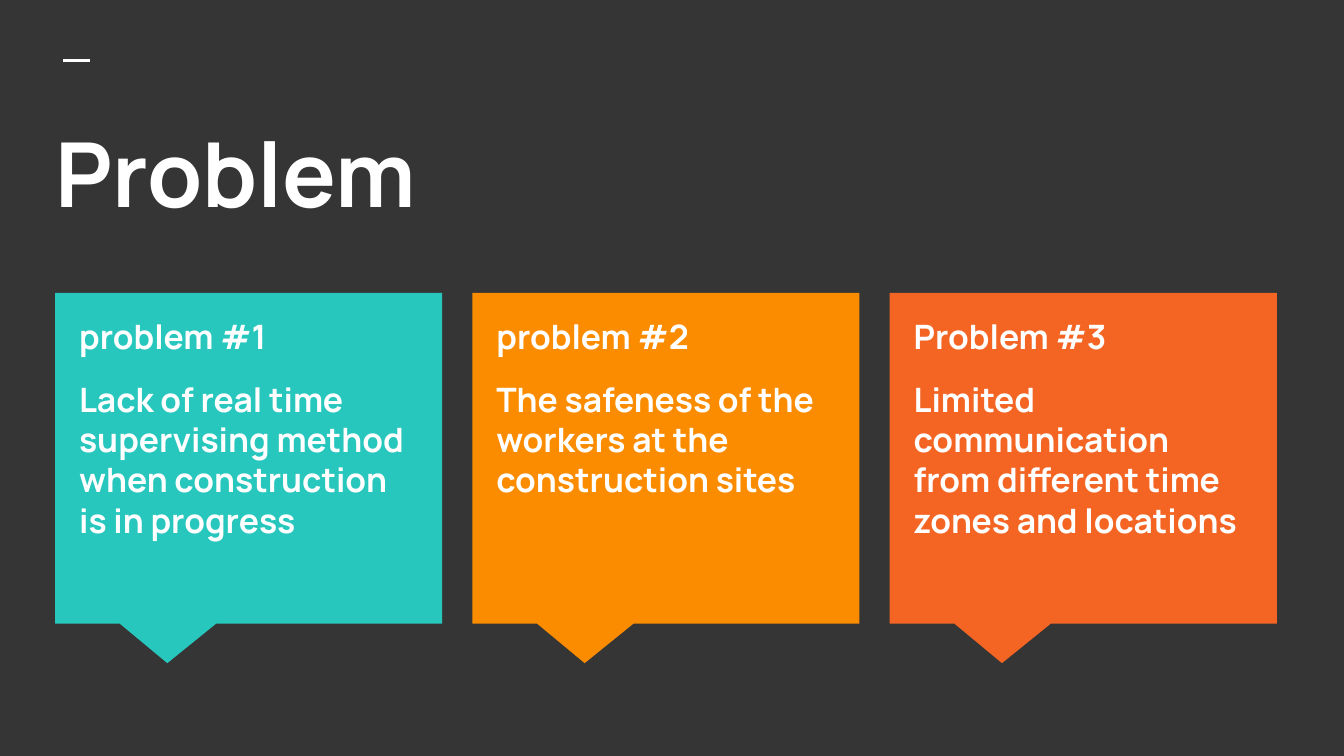
from lxml.etree import SubElement
from pptx import Presentation
from pptx.dml.color import RGBColor
from pptx.enum.shapes import MSO_CONNECTOR, MSO_SHAPE
from pptx.enum.text import MSO_ANCHOR, MSO_AUTO_SIZE, PP_ALIGN
from pptx.oxml.ns import qn
from pptx.util import Inches, Pt

FONT = "Manrope"
COLORS = {
    "background": "353535",
    "white": "FFFFFF",
    "teal": "27C7BD",
    "amber": "FB8C00",
    "orange": "F46524",
}
TITLE = "Problem"
PROBLEMS = [
    ("problem #1", "Lack of real time supervising method when construction is in progress", "teal"),
    ("problem #2", "The safeness of the workers at the construction sites", "amber"),
    ("Problem #3", "Limited communication from different time zones and locations", "orange"),
]

SLIDE_WIDTH = 10
SLIDE_HEIGHT = SLIDE_WIDTH * 9 / 16
CARD_LEFT, CARD_TOP, CARD_WIDTH, CARD_HEIGHT = 0.41, 2.18, 2.88, 2.46
LAST_CARD_LEFT = 6.62
CARD_STEP = (LAST_CARD_LEFT - CARD_LEFT) / (len(PROBLEMS) - 1)
TEXT_OFFSET_X, TEXT_OFFSET_Y, TEXT_WIDTH, TEXT_HEIGHT = 0.08, 0.07, 2.71, 2.19
POINTER = (-0.21, 0.62)


def color(name):
    return RGBColor.from_string(COLORS[name])


def write(frame, lines, size):
    """Fill a frame with bold white paragraphs, 12 pt apart."""
    frame.word_wrap = True
    frame.auto_size = MSO_AUTO_SIZE.NONE
    frame.vertical_anchor = MSO_ANCHOR.TOP
    frame.margin_left = frame.margin_right = Inches(0.1)
    frame.margin_top = frame.margin_bottom = Inches(0.1)
    for index, line in enumerate(lines):
        paragraph = frame.add_paragraph() if index else frame.paragraphs[0]
        paragraph.text = line
        paragraph.alignment = PP_ALIGN.LEFT
        paragraph.space_before = Pt(12 if index else 0)
        paragraph.font.name = FONT
        paragraph.font.size = Pt(size)
        paragraph.font.bold = True
        paragraph.font.color.rgb = color("white")


prs = Presentation()
prs.slide_width, prs.slide_height = Inches(SLIDE_WIDTH), Inches(SLIDE_HEIGHT)
slide = prs.slides.add_slide(prs.slide_layouts[5])
slide.background.fill.solid()
slide.background.fill.fore_color.rgb = color("background")

dash = slide.shapes.add_connector(
    MSO_CONNECTOR.STRAIGHT, Inches(0.47), Inches(0.45), Inches(0.67), Inches(0.45))
dash.line.color.rgb = color("white")
dash.line.width = Pt(1.5)
SubElement(dash._element.spPr, qn("a:effectLst"))

title = slide.shapes.title
title.left, title.top = Inches(0.31), Inches(0.78)
title.width, title.height = Inches(9.43), Inches(1.12)
write(title.text_frame, [TITLE], 48)

for index, (heading, description, fill) in enumerate(PROBLEMS):
    left = CARD_LEFT + index * CARD_STEP
    card = slide.shapes.add_shape(
        MSO_SHAPE.RECTANGULAR_CALLOUT,
        Inches(left), Inches(CARD_TOP), Inches(CARD_WIDTH), Inches(CARD_HEIGHT))
    card.adjustments[0], card.adjustments[1] = POINTER
    card.shadow.inherit = False
    card.fill.solid()
    card.fill.fore_color.rgb = color(fill)
    card.line.fill.background()

    label = slide.shapes.add_textbox(
        Inches(left + TEXT_OFFSET_X), Inches(CARD_TOP + TEXT_OFFSET_Y),
        Inches(TEXT_WIDTH), Inches(TEXT_HEIGHT))
    write(label.text_frame, [heading, description], 18)

prs.save("out.pptx")
